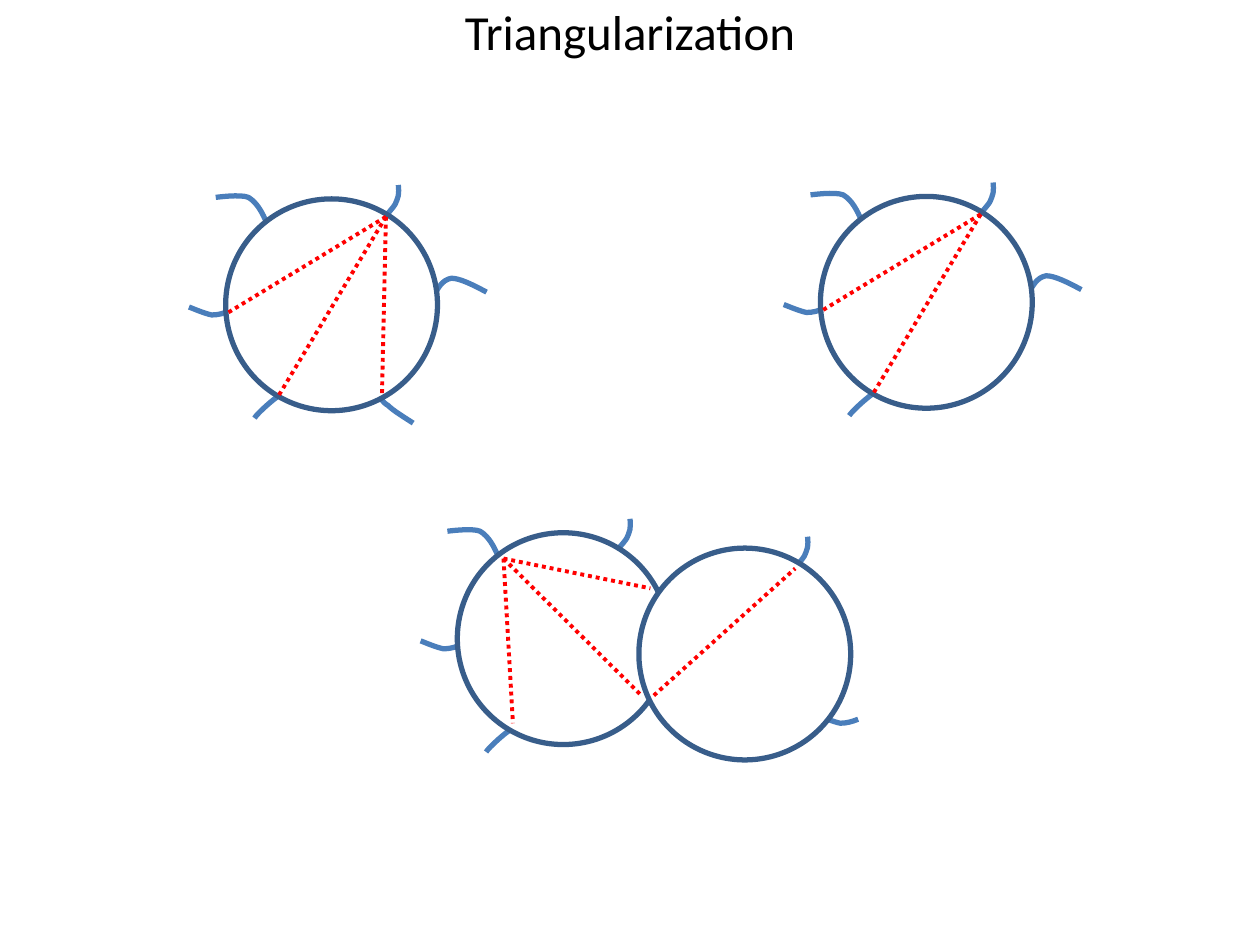
from pptx import Presentation
from pptx.dml.color import RGBColor
from pptx.enum.dml import MSO_LINE
from pptx.enum.shapes import MSO_CONNECTOR, MSO_SHAPE
from pptx.enum.text import MSO_ANCHOR, PP_ALIGN
from pptx.oxml.ns import qn
from pptx.oxml.xmlchemy import OxmlElement
from pptx.util import Cm, Pt

DIAMETER = 4.27

LEGS = {
    "upper left": [(0.84, 0.51), (0.74, 0.28), (0.64, 0.08), (0.46, -0.03),
                   (0.3, -0.1), (-0.2, -0.03), (-0.2, -0.03)],
    "upper right": [(3.2, 0.38), (3.3, 0.25), (3.43, 0.13), (3.45, 0.03),
                    (3.51, -0.08), (3.48, -0.28), (3.48, -0.28)],
    "right": [(4.19, 1.98), (4.27, 1.8), (4.37, 1.63), (4.55, 1.6),
              (4.72, 1.6), (4.98, 1.73), (5.26, 1.88)],
    "left": [(0.08, 2.26), (-0.05, 2.31), (-0.15, 2.34), (-0.28, 2.34),
             (-0.43, 2.31), (-0.66, 2.21), (-0.74, 2.18)],
    "lower left": [(1.09, 3.96), (0.99, 4.01), (0.64, 4.32), (0.58, 4.42)],
    "lower right": [(3.1, 3.96), (3.12, 4.01), (3.15, 4.09), (3.28, 4.17),
                    (3.38, 4.27), (3.58, 4.39), (3.78, 4.52)],
}
FIVE_LEGS = ["upper left", "upper right", "right", "left", "lower left"]


def color(value):
    return RGBColor.from_string(value)


class LoopSlide:
    font = "Calibri"
    leg_color = "4A7EBB"
    ring_color = "385D8A"
    diagonal_color = "FF0000"

    def __init__(self, deck):
        self.slide = deck.slides.add_slide(deck.slide_layouts[5])
        self.group = None

    def title(self, text, left, top, width, height):
        box = self.slide.shapes.title
        box.left, box.top, box.width, box.height = map(Cm, (left, top, width, height))
        frame = box.text_frame
        frame.text = text
        frame.word_wrap = True
        frame.vertical_anchor = MSO_ANCHOR.MIDDLE
        para = frame.paragraphs[0]
        para.alignment = PP_ALIGN.CENTER
        span = para.runs[0]
        span.font.name = self.font
        span.font.size = Pt(28)
        span.font.color.rgb = color("000000")

    def start_diagram(self):
        self.group = self.slide.shapes.add_group_shape().shapes

    def outline(self, shape, line_color, width):
        shape.line.color.rgb = color(line_color)
        shape.line.width = Pt(width)

    def leg(self, name, left, top):
        start, *rest = [(Cm(left + x), Cm(top + y)) for x, y in LEGS[name]]
        builder = self.group.build_freeform(*start)
        builder.add_line_segments(rest, close=False)
        shape = builder.convert_to_shape()
        shape.shadow.inherit = False
        shape.fill.background()
        self.outline(shape, self.leg_color, 3)
        segments = list(shape.element.iter(qn("a:lnTo")))
        for first in range(0, len(segments), 3):
            curve = OxmlElement("a:cubicBezTo")
            segments[first].addprevious(curve)
            for segment in segments[first:first + 3]:
                curve.append(segment[0])
                segment.getparent().remove(segment)

    def ring(self, left, top):
        shape = self.group.add_shape(
            MSO_SHAPE.OVAL, Cm(left), Cm(top), Cm(DIAMETER), Cm(DIAMETER))
        shape.shadow.inherit = False
        shape.fill.solid()
        shape.fill.fore_color.rgb = color("FFFFFF")
        self.outline(shape, self.ring_color, 3)

    def loop(self, left, top, legs):
        for name in legs:
            self.leg(name, left, top)
        self.ring(left, top)

    def diagonals(self, left, top, start, ends):
        for end in ends:
            line = self.group.add_connector(
                MSO_CONNECTOR.STRAIGHT,
                Cm(left + start[0]), Cm(top + start[1]),
                Cm(left + end[0]), Cm(top + end[1]))
            self.outline(line, self.diagonal_color, 2.25)
            line.line.dash_style = MSO_LINE.ROUND_DOT
            line.element.spPr.append(OxmlElement("a:effectLst"))


def main():
    deck = Presentation()
    deck.slide_width, deck.slide_height = Cm(25.4), Cm(19.05)
    page = LoopSlide(deck)
    page.title("Triangularization", 1.27, 0.13, 22.86, 0.99)

    fan_start = (3.23, 0.36)
    fan_ends = [(0.05, 2.29), (1.07, 3.96), (3.15, 3.99)]
    for left, top, legs, ends in [
        (4.55, 4.01, FIVE_LEGS + ["lower right"], fan_ends),
        (16.54, 3.96, FIVE_LEGS, fan_ends[:2]),
    ]:
        page.start_diagram()
        page.loop(left, top, legs)
        page.diagonals(left, top, fan_start, ends)

    page.start_diagram()
    page.loop(9.22, 10.74, FIVE_LEGS)
    page.leg("upper right", 12.8, 11.1)
    page.leg("left", 17.22, 12.24)
    page.ring(12.88, 11.05)
    page.diagonals(9.22, 10.74, (0.93, 0.52), [(1.12, 3.84), (3.73, 3.3), (3.89, 1.12)])
    page.diagonals(12.88, 11.05, (0.3, 2.97), [(3.15, 0.41)])

    deck.save("out.pptx")


if __name__ == "__main__":
    main()
